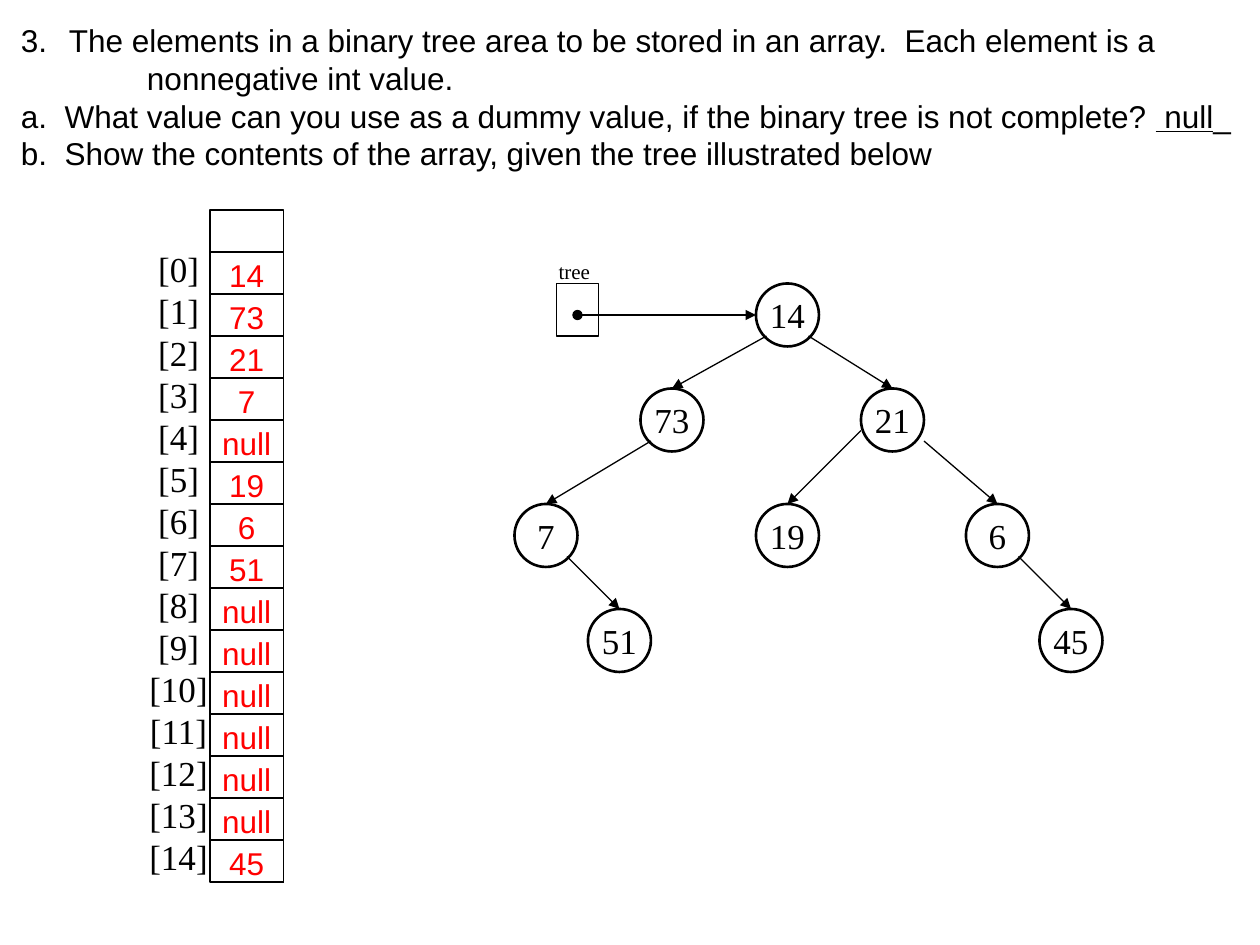
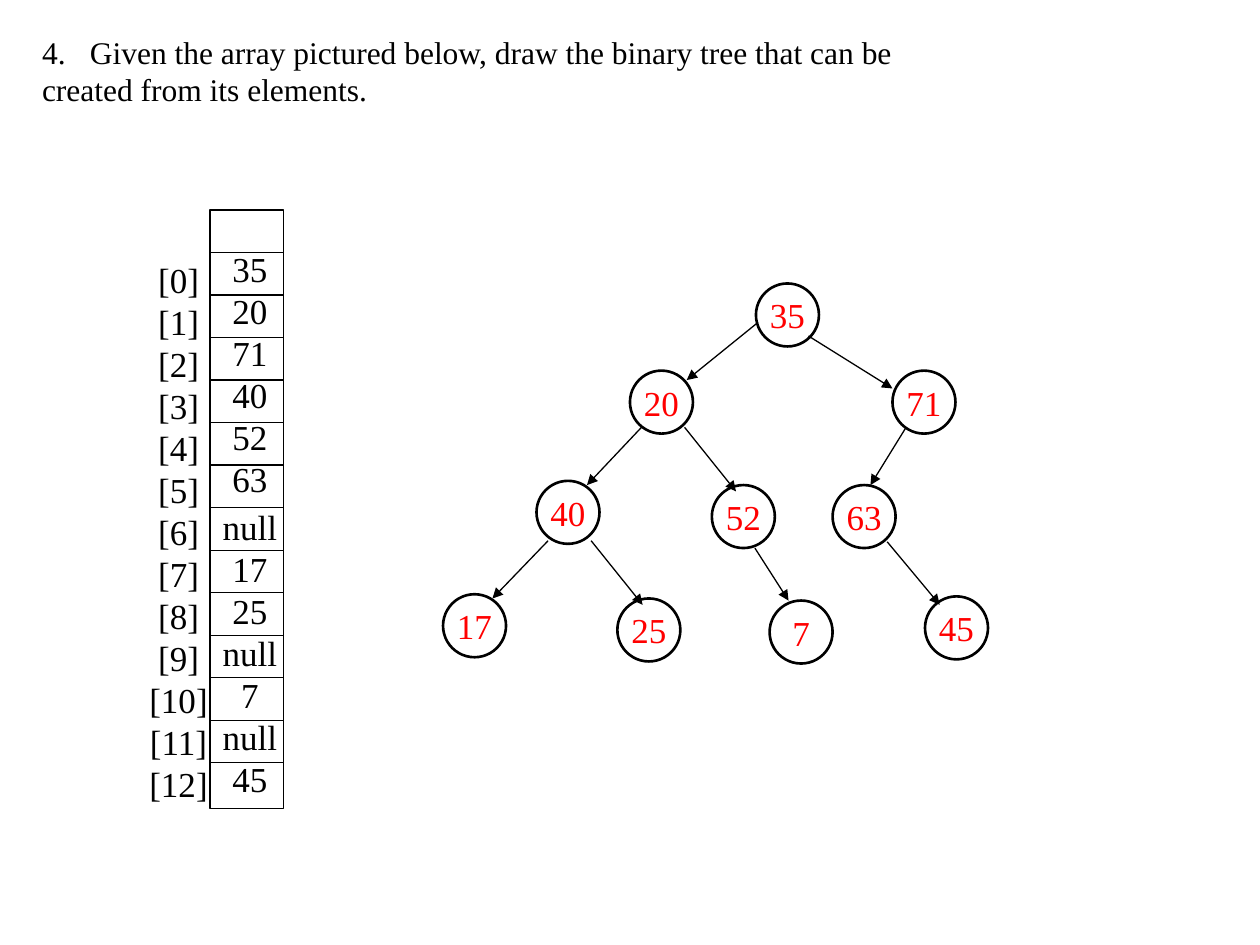
"""Build two worksheet slides on binary trees stored in arrays."""
from typing import NamedTuple, Optional, Sequence

from lxml import etree
from pptx import Presentation
from pptx import util as u
from pptx.dml.color import RGBColor
from pptx.enum import shapes, text
from pptx.oxml import ns

BLACK = RGBColor(0x00, 0x00, 0x00)
RED = RGBColor(0xFF, 0x00, 0x00)
SANS, SERIF = "Arial", "Times New Roman"
COLUMNS, ROWS = 120, 90
CELL = u.Inches(10) // COLUMNS
LEADING = 1.2
HANG = 0.38
NODE_SIZE = 6
ARRAY_LEFT, ARRAY_TOP, ARRAY_WIDTH = 20, 20, 7
INDEX_LEFT, INDEX_WIDTH = 13, 8
LEFT_EXIT, RIGHT_EXIT, TOP_ENTRY = (1, 5), (5, 5), (3, 0)

Point = tuple[float, float]


class Box(NamedTuple):
    """An area counted in grid cells."""
    left: float
    top: float
    width: float
    height: float

    def emu(self) -> list[int]:
        """Return the area in slide units."""
        return [grid(side) for side in self]


class Style(NamedTuple):
    """The look of a run of text."""
    font: str
    size: float
    color: RGBColor = BLACK


class Piece(NamedTuple):
    """A run of wording."""
    words: str
    underline: bool = False


class Line(NamedTuple):
    """A paragraph with its indents in inches and its optional number."""
    pieces: Sequence[Piece]
    margin: float = 0
    indent: float = 0
    number: Optional[int] = None
    before: float = 0


class Branch(NamedTuple):
    """An arrow between two nodes, with end points relative to each."""
    parent: str
    child: str
    leave: Point
    enter: Point = TOP_ENTRY


QUESTION, ANSWER = Style(SANS, 18), Style(SANS, 18, RED)
ENTRY, NODE_ANSWER = Style(SERIF, 20), Style(SERIF, 20, RED)

STORED = ["14", "73", "21", "7", "null", "19", "6", "51", *["null"] * 6, "45"]
GIVEN = ["35", "20", "71", "40", "52", "63", "null", "17", "25", "null", "7",
         "null", "45"]

STORED_TREE = {
    "14": (72, 27), "73": (61, 37), "21": (82, 37), "7": (49, 48),
    "51": (56, 58), "19": (72, 48), "6": (92, 48), "45": (99, 58),
}
STORED_BRANCHES = [
    Branch("14", "73", LEFT_EXIT), Branch("14", "21", RIGHT_EXIT),
    Branch("73", "7", LEFT_EXIT), Branch("21", "19", (0, 4)),
    Branch("7", "51", RIGHT_EXIT), Branch("21", "6", (6, 5)),
    Branch("6", "45", RIGHT_EXIT),
]
DRAWN_TREE = {
    "35": (72, 27), "20": (60, 35.3), "71": (85, 35.3), "40": (51.1, 45.8),
    "63": (79.3, 46.2), "52": (67.8, 46.2), "45": (88.1, 56.8),
    "17": (42.2, 56.6), "25": (58.8, 57), "7": (73.3, 57.2),
}
DRAWN_BRANCHES = [
    Branch("35", "20", (0.2, 3.7), (5.4, 0.9)),
    Branch("35", "71", RIGHT_EXIT, (0, 1.7)),
    Branch("20", "40", (1.1, 5.4), (4.8, 0.4)),
    Branch("20", "52", (5.2, 5.4), (2.3, 0.6)),
    Branch("71", "63", (1.3, 5.4), (3.6, 0)),
    Branch("63", "45", (5.2, 5.4), (1.4, 0.8)),
    Branch("40", "17", (1.1, 5.7), (4.7, 0.4)),
    Branch("40", "25", (5.2, 5.7), (2.4, 0.6)),
    Branch("52", "7", (4.1, 6), (1.8, 0)),
]


def grid(cells: float) -> int:
    """Turn a count of grid cells into slide units."""
    return u.Emu(round(cells * CELL))


def plain(words: str, **layout) -> Line:
    """Make a paragraph of one run."""
    return Line([Piece(words)], **layout)


def write(frame, lines: Sequence[Line], style: Style, align=text.PP_ALIGN.LEFT) -> None:
    """Fill a text frame paragraph by paragraph and run by run."""
    frame.word_wrap = True
    frame.auto_size = text.MSO_AUTO_SIZE.NONE
    for order, line in enumerate(lines):
        paragraph = frame.add_paragraph() if order else frame.paragraphs[0]
        paragraph.alignment = align
        paragraph.line_spacing = u.Pt(style.size * LEADING)
        paragraph.space_before = u.Pt(line.before)
        settings = paragraph._p.get_or_add_pPr()
        settings.set("marL", str(u.Inches(line.margin)))
        settings.set("indent", str(u.Inches(line.indent)))
        if line.number is None:
            etree.SubElement(settings, ns.qn("a:buNone"))
        else:
            etree.SubElement(settings, ns.qn("a:buFontTx"))
            etree.SubElement(settings, ns.qn("a:buAutoNum"),
                             type="arabicPeriod", startAt=str(line.number))
        for piece in line.pieces:
            run = paragraph.add_run()
            run.text = piece.words
            run.font.name, run.font.size = style.font, u.Pt(style.size)
            run.font.color.rgb = style.color
            if piece.underline:
                run.font.underline = True


def clear_margins(frame) -> None:
    """Remove the inner margins of a text frame."""
    frame.margin_left = frame.margin_right = 0
    frame.margin_top = frame.margin_bottom = 0


def fill_placeholder(holder, box: Box, lines: Sequence[Line], style: Style) -> None:
    """Move a placeholder and write its text from the top."""
    holder.left, holder.top, holder.width, holder.height = box.emu()
    holder.text_frame.vertical_anchor = text.MSO_ANCHOR.TOP
    write(holder.text_frame, lines, style)


def text_column(slide, left: float, top: float, width: float, lines: Sequence[Line],
                style: Style, align=text.PP_ALIGN.CENTER) -> None:
    """Add a text box with one entry a line."""
    height = len(lines) * style.size * LEADING / 6
    frame = slide.shapes.add_textbox(*Box(left, top, width, height).emu()).text_frame
    clear_margins(frame)
    write(frame, lines, style, align)


def outline(slide, preset, box: Box, weight: float):
    """Add an unfilled shape with a black outline."""
    shape = slide.shapes.add_shape(preset, *box.emu())
    shape.shadow.inherit = False
    shape.fill.background()
    shape.line.color.rgb = BLACK
    shape.line.width = u.Pt(weight)
    return shape


def connect(slide, start: Point, end: Point, head: str = "none", tail: str = "none") -> None:
    """Add a thin black line with optional ends."""
    ends = [grid(part) for part in (*start, *end)]
    connector = slide.shapes.add_connector(shapes.MSO_CONNECTOR.STRAIGHT, *ends)
    connector.line.color.rgb = BLACK
    connector.line.width = u.Pt(0.75)
    stroke = connector.get_or_add_ln()
    etree.SubElement(stroke, ns.qn("a:headEnd"), type=head)
    etree.SubElement(stroke, ns.qn("a:tailEnd"), type=tail)
    etree.SubElement(connector._element.spPr, ns.qn("a:effectLst"))


def draw_array(slide, height: float, pitch: float, rules: int, index_top: float,
               count: int) -> None:
    """Draw the array strip, its dividing rules and its index labels."""
    outline(slide, shapes.MSO_SHAPE.RECTANGLE,
            Box(ARRAY_LEFT, ARRAY_TOP, ARRAY_WIDTH, height), 0.75)
    indexes = [plain(f"[{index}]") for index in range(count)]
    text_column(slide, INDEX_LEFT, index_top, INDEX_WIDTH, indexes, ENTRY)
    for rule in range(1, rules + 1):
        level = ARRAY_TOP + rule * pitch
        connect(slide, (ARRAY_LEFT, level), (ARRAY_LEFT + ARRAY_WIDTH, level))


def draw_tree(slide, nodes: dict[str, Point], branches: Sequence[Branch],
              style: Style) -> None:
    """Draw the nodes of a tree and the arrows between them."""
    for value, (left, top) in nodes.items():
        node = outline(slide, shapes.MSO_SHAPE.OVAL,
                       Box(left, top, NODE_SIZE, NODE_SIZE), 1.5)
        clear_margins(node.text_frame)
        node.text_frame.vertical_anchor = text.MSO_ANCHOR.MIDDLE
        write(node.text_frame, [plain(value)], style, text.PP_ALIGN.CENTER)
        node.text_frame.word_wrap = False
    for branch in branches:
        (from_x, from_y), (to_x, to_y) = nodes[branch.parent], nodes[branch.child]
        connect(slide, (from_x + branch.leave[0], from_y + branch.leave[1]),
                (to_x + branch.enter[0], to_y + branch.enter[1]), tail="triangle")


def build_storing_slide(deck) -> None:
    """Build the question on storing a tree in an array."""
    slide = deck.slides.add_slide(deck.slide_layouts[1])
    fill_placeholder(slide.shapes.title, Box(0.8, 1.4, 118.7, 8.4), [
        plain("The elements in a binary tree area to be stored in an array.  "
              "Each element is a", margin=HANG, indent=-HANG, number=3),
        plain("nonnegative int value.", margin=1 + HANG, indent=-HANG),
    ], QUESTION)
    fill_placeholder(slide.placeholders[1], Box(0.8, 8.6, 118.7, 8.4), [
        Line([Piece("a.  What value can you use as a dummy value, if the binary tree "
                    "is not complete? "), Piece(" null", True), Piece("_")], HANG, -HANG),
        plain("b.  Show the contents of the array, given the tree illustrated below",
              margin=HANG, indent=-HANG),
    ], QUESTION)
    draw_tree(slide, STORED_TREE, STORED_BRANCHES, ENTRY)
    outline(slide, shapes.MSO_SHAPE.RECTANGLE, Box(53, 27, 4, 5), 0.75)
    connect(slide, (55, 30), (72, 30), head="oval", tail="triangle")
    text_column(slide, 53.2, 24.6, 4, [plain("tree")], Style(SERIF, 12),
                text.PP_ALIGN.LEFT)
    draw_array(slide, 64, 4, 16, 23.6, len(STORED))
    for row, value in enumerate(STORED):
        text_column(slide, ARRAY_LEFT, 24.4 + 4 * row, ARRAY_WIDTH, [plain(value)], ANSWER)


def build_drawing_slide(deck) -> None:
    """Build the question on drawing a tree from an array."""
    slide = deck.slides.add_slide(deck.slide_layouts[5])
    draw_array(slide, 57, 4.05, 13, 24.6, len(GIVEN))
    fill_placeholder(slide.shapes.title, Box(2.8, 2.5, 84.2, 8.5), [
        plain("Given the array pictured below, draw the binary tree that can be",
              margin=HANG, indent=-HANG, number=4),
        plain("created from its elements."),
    ], Style(SERIF, 18))
    first_null = GIVEN.index("null")
    values = [plain(value, before=3 if row == first_null else 0)
              for row, value in enumerate(GIVEN)]
    text_column(slide, ARRAY_LEFT, 23.6, 7.6, values, ENTRY)
    draw_tree(slide, DRAWN_TREE, DRAWN_BRANCHES, NODE_ANSWER)


def main() -> None:
    """Build and save the deck."""
    deck = Presentation()
    deck.slide_width, deck.slide_height = grid(COLUMNS), grid(ROWS)
    build_storing_slide(deck)
    build_drawing_slide(deck)
    deck.save("out.pptx")


if __name__ == "__main__":
    main()
